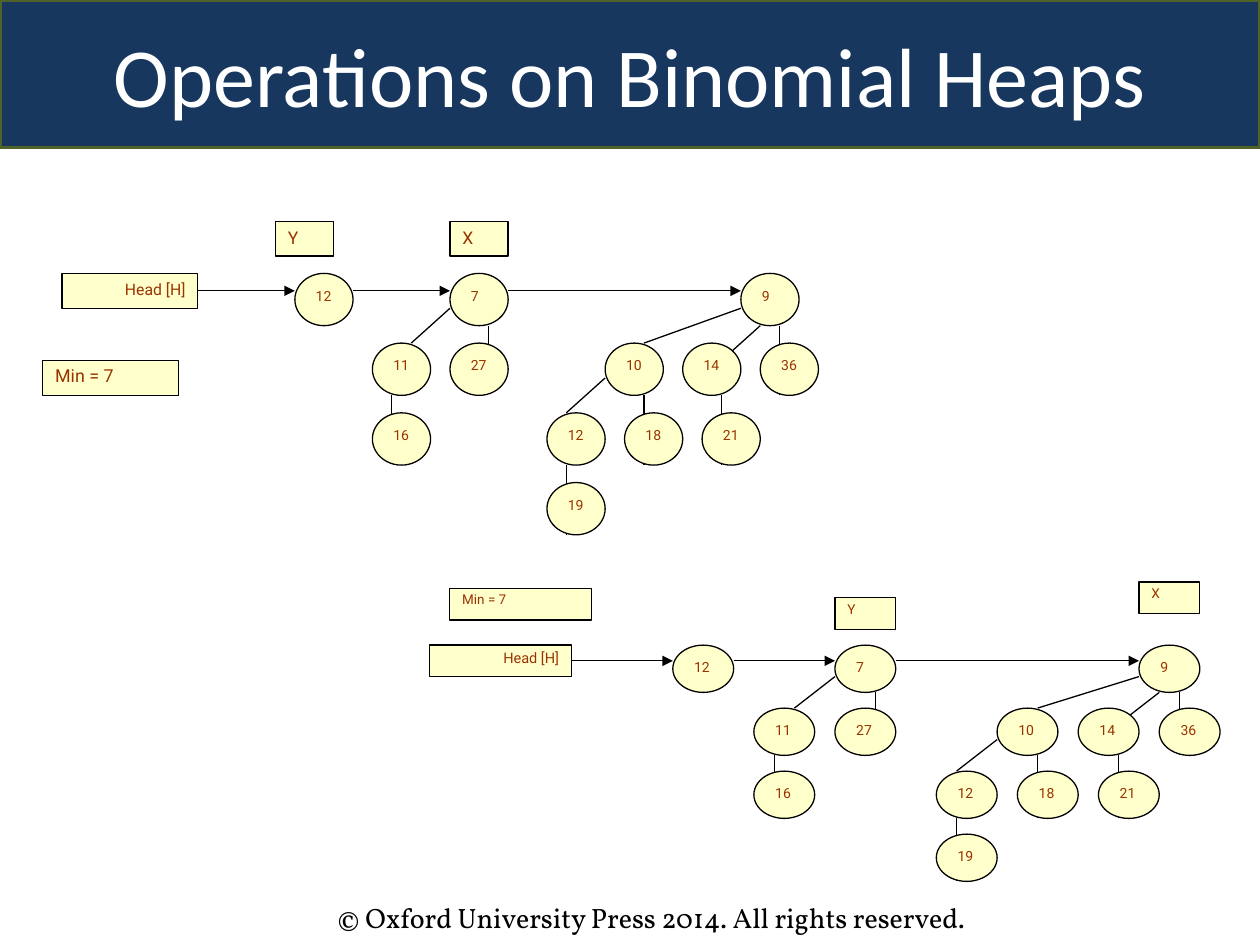
import dataclasses

import lxml.etree
import pptx
import pptx.dml.color
import pptx.enum.shapes
import pptx.enum.text
import pptx.oxml.ns
import pptx.util

Inches = pptx.util.Inches
Shape = pptx.enum.shapes.MSO_SHAPE
Align = pptx.enum.text.PP_ALIGN
Anchor = pptx.enum.text.MSO_ANCHOR


@dataclasses.dataclass(frozen=True)
class Theme:
    navy: str = "17375E"
    olive: str = "4F6228"
    cream: str = "FFFFCC"
    rust: str = "993300"
    black: str = "000000"
    white: str = "FFFFFF"
    head: str = "Calibri"
    body: str = "Roboto"
    foot: str = "Vollkorn"
    big: float = 48
    note: float = 16
    node: float = 8
    edge: float = 2
    thin: float = 0.75


THEME = Theme()

NODES = [
    ("12", 0, 0), ("7", 8, 0), ("9", 23, 0),
    ("11", 4, 4), ("27", 8, 4), ("10", 16, 4), ("14", 20, 4), ("36", 24, 4),
    ("16", 4, 8), ("12", 13, 8), ("18", 17, 8), ("21", 21, 8),
    ("19", 13, 12),
]
EDGES = [
    (10, 3, 10, 5), (8, 2, 6, 4), (5, 7, 5, 9),
    (25, 3, 25, 7), (24, 3, 22, 5), (23, 2, 18, 4),
    (18, 7, 18, 11), (16, 6, 14, 8), (22, 7, 22, 11), (14, 11, 14, 15),
]
ARROWS = [(-5, 1, 0, 1), (3, 1, 8, 1), (11, 1, 23, 1)]


def paint(name):
    return pptx.dml.color.RGBColor.from_string(name)


def write(shape, text, font, size, color, align=Align.LEFT, gap=None):
    frame = shape.text_frame
    frame.word_wrap = True
    para = frame.paragraphs[0]
    para.alignment = align
    if gap:
        para.line_spacing = gap
    run = para.add_run()
    run.text = text
    run.font.name = font
    run.font.size = pptx.util.Pt(size)
    run.font.color.rgb = paint(color)


def block(shapes, kind, area, fill, line, width):
    shape = shapes.add_shape(kind, *map(Inches, area))
    shape.shadow.inherit = False
    shape.fill.solid()
    shape.fill.fore_color.rgb = paint(fill)
    shape.line.color.rgb = paint(line)
    shape.line.width = pptx.util.Pt(width)
    shape.text_frame.vertical_anchor = Anchor.TOP
    return shape


def link(shapes, ends, arrow=False):
    line = shapes.add_connector(
        pptx.enum.shapes.MSO_CONNECTOR.STRAIGHT, *map(Inches, ends))
    line.line.color.rgb = paint(THEME.black)
    line.line.width = pptx.util.Pt(THEME.thin)
    qn = pptx.oxml.ns.qn
    if arrow:
        lxml.etree.SubElement(
            line.line._get_or_add_ln(), qn("a:tailEnd"), type="triangle")
    lxml.etree.SubElement(line._element.spPr, qn("a:effectLst"))


def heap(slide, left, top, wide, high, tags):
    shapes = slide.shapes.add_group_shape().shapes
    unit, step = wide / 23, high / 12

    def spot(col, row):
        return left + col * unit, top + row * step

    def box(kind, col, row, cols, rows):
        area = (*spot(col, row), cols * unit, rows * step)
        return block(shapes, kind, area, THEME.cream, THEME.black, THEME.thin)

    for ends in EDGES + ARROWS:
        link(shapes, spot(*ends[:2]) + spot(*ends[2:]), ends in ARROWS)
    for text, col, row in NODES:
        node = box(Shape.OVAL, col, row, 3, 3)
        write(node, text, THEME.body, THEME.node, THEME.rust)
    for text, col, row, cols, size, align, gap in tags:
        tag = box(Shape.RECTANGLE, col, row, cols, 2)
        write(tag, text, THEME.body, size, THEME.rust, align, gap)


def title(slide, text):
    bar = block(slide.shapes, Shape.ROUNDED_RECTANGLE, (0, 0, 10, 1.17),
                THEME.navy, THEME.olive, THEME.edge)
    bar.adjustments[0] = 0
    bar.text_frame.vertical_anchor = Anchor.MIDDLE
    write(bar, text, THEME.head, THEME.big, THEME.white, Align.CENTER)


def footer(slide, text):
    box = slide.shapes.add_textbox(*map(Inches, (2.58, 7.1, 5.92, 0.37)))
    write(box, text, THEME.foot, THEME.note, THEME.black)
    box.text_frame.auto_size = pptx.enum.text.MSO_AUTO_SIZE.SHAPE_TO_FIT_TEXT


def main():
    deck = pptx.Presentation()
    deck.slide_width, deck.slide_height = Inches(10), Inches(7.5)
    slide = deck.slides.add_slide(deck.slide_layouts[6])
    footer(slide, "© Oxford University Press 2014. All rights reserved.")
    title(slide, "Operations on Binomial Heaps")
    heap(slide, 2.34, 2.17, 3.54, 1.66, [
        ("Head [H]", -12, 0, 7, 9, Align.RIGHT, None),
        ("X", 8, -3, 3, 10, Align.LEFT, None),
        ("Y", -1, -3, 3, 10, Align.LEFT, None),
        ("Min = 7", -13, 5, 7, 10.2, Align.LEFT, 0.9),
    ])
    heap(slide, 5.34, 5.12, 3.7, 1.5, [
        ("Head [H]", -12, 0, 7, 8.3, Align.RIGHT, 0.9),
        ("X", 23, -4, 3, 7.8, Align.LEFT, 0.8),
        ("Y", 8, -3, 3, 7.8, Align.LEFT, 0.8),
        ("Min = 7", -11, -3.6, 7, 7.7, Align.LEFT, 0.8),
    ])
    deck.save("out.pptx")


if __name__ == "__main__":
    main()
